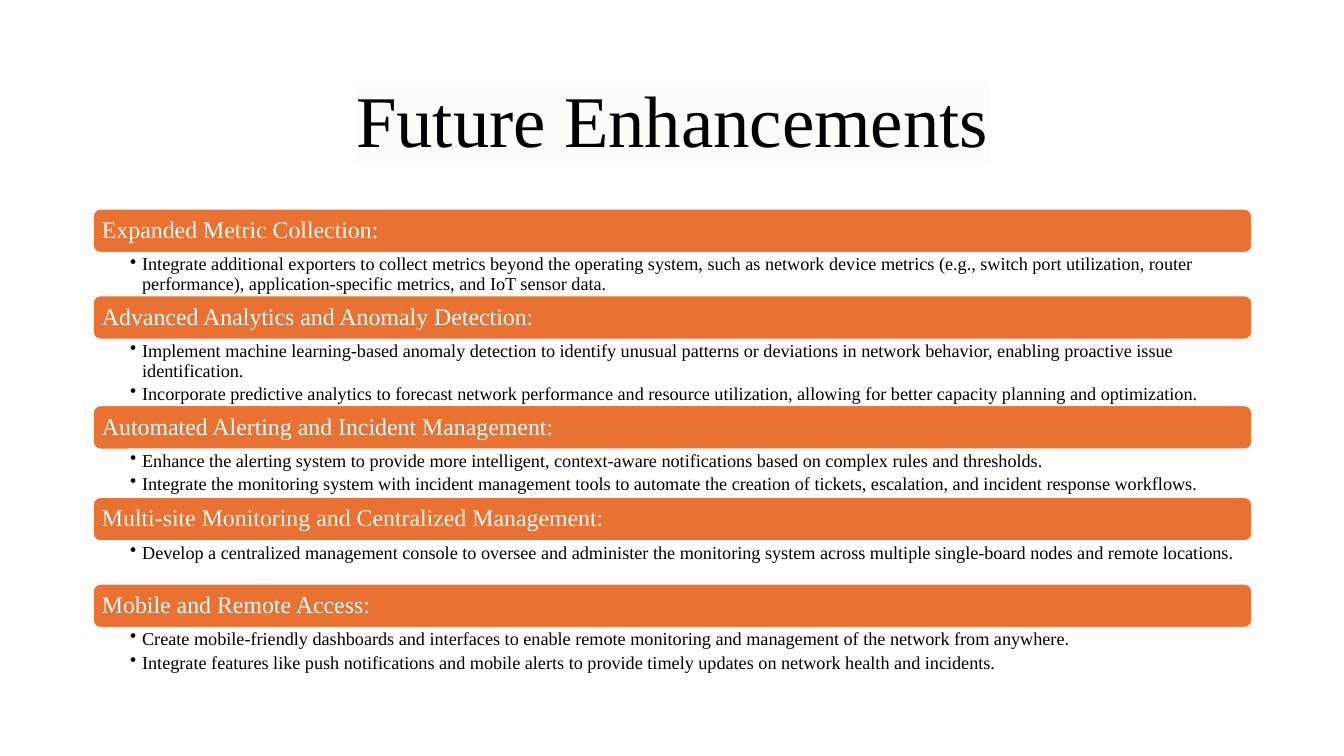
"""Build the Future Enhancements slide."""
from pptx import Presentation
from pptx import util as u
from pptx.dml.color import RGBColor
from pptx.enum import shapes, text
from pptx.oxml.xmlchemy import OxmlElement

ORANGE = RGBColor(0xE9, 0x71, 0x32)
WHITE = RGBColor(0xFF, 0xFF, 0xFF)
BLACK = RGBColor(0x00, 0x00, 0x00)
IVORY = RGBColor(0xFC, 0xFC, 0xF9)

LEFT, WIDTH = u.Inches(0.92), u.Inches(11.5)
BAR_HEIGHT = 0.44

SECTIONS = [
    ("Expanded Metric Collection:", 0.42, [
        "Integrate additional exporters to collect metrics beyond the operating system, such as network device metrics (e.g., switch port utilization, router performance), application-specific metrics, and IoT sensor data.",
    ]),
    ("Advanced Analytics and Anomaly Detection:", 0.65, [
        "Implement machine learning-based anomaly detection to identify unusual patterns or deviations in network behavior, enabling proactive issue identification.",
        "Incorporate predictive analytics to forecast network performance and resource utilization, allowing for better capacity planning and optimization.",
    ]),
    ("Automated Alerting and Incident Management:", 0.47, [
        "Enhance the alerting system to provide more intelligent, context-aware notifications based on complex rules and thresholds.",
        "Integrate the monitoring system with incident management tools to automate the creation of tickets, escalation, and incident response workflows.",
    ]),
    ("Multi-site Monitoring and Centralized Management:", 0.42, [
        "Develop a centralized management console to oversee and administer the monitoring system across multiple single-board nodes and remote locations.",
    ]),
    ("Mobile and Remote Access:", 0.47, [
        "Create mobile-friendly dashboards and interfaces to enable remote monitoring and management of the network from anywhere.",
        "Integrate features like push notifications and mobile alerts to provide timely updates on network health and incidents.",
    ]),
]


def style(para, size, color):
    para.line_spacing = 0.9
    para.font.name = "Times New Roman"
    para.font.size = u.Pt(size)
    para.font.color.rgb = color


def set_frame(frame, anchor, left, top, right, bottom):
    frame.word_wrap = True
    frame.vertical_anchor = anchor
    frame.margin_left, frame.margin_top = u.Inches(left), u.Inches(top)
    frame.margin_right, frame.margin_bottom = u.Inches(right), u.Inches(bottom)


deck = Presentation()
deck.slide_width, deck.slide_height = u.Inches(13.33), u.Inches(7.5)
page = deck.slides.add_slide(deck.slide_layouts[6])

title = page.shapes.add_textbox(LEFT, u.Inches(0.61), WIDTH, u.Inches(1.24))
set_frame(title.text_frame, text.MSO_ANCHOR.MIDDLE, 0.1, 0.05, 0.1, 0.05)
para = title.text_frame.paragraphs[0]
para.alignment = text.PP_ALIGN.CENTER
style(para, 52, BLACK)
span = para.add_run()
span.text = "Future Enhancements"
highlight = OxmlElement("a:highlight")
shade = OxmlElement("a:srgbClr")
shade.set("val", str(IVORY))
highlight.append(shade)
span.font._element.append(highlight)

top = 2.07
for heading, body_height, points in SECTIONS:
    bar = page.shapes.add_shape(
        shapes.MSO_SHAPE.ROUNDED_RECTANGLE, LEFT, u.Inches(top), WIDTH, u.Inches(BAR_HEIGHT))
    bar.shadow.inherit = False
    bar.fill.solid()
    bar.fill.fore_color.rgb = ORANGE
    bar.line.color.rgb = WHITE
    bar.line.width = u.Pt(1.5)
    set_frame(bar.text_frame, text.MSO_ANCHOR.MIDDLE, 0.07, 0.07, 0.07, 0.07)
    para = bar.text_frame.paragraphs[0]
    para.text = heading
    para.alignment = text.PP_ALIGN.LEFT
    style(para, 17, WHITE)

    body = page.shapes.add_textbox(
        LEFT, u.Inches(top + BAR_HEIGHT), WIDTH, u.Inches(body_height))
    set_frame(body.text_frame, text.MSO_ANCHOR.TOP, 0.37, 0.02, 0.13, 0.02)
    body.text_frame.text = "\n".join(points)
    for para in body.text_frame.paragraphs:
        properties = para._p.get_or_add_pPr()
        properties.set("marL", str(u.Inches(0.12)))
        properties.set("indent", str(u.Inches(-0.12)))
        bullet = OxmlElement("a:buChar")
        bullet.set("char", "•")
        properties.append(bullet)
        para.space_after = u.Pt(2.6)
        style(para, 13, BLACK)
    top += BAR_HEIGHT + body_height

deck.save("out.pptx")
